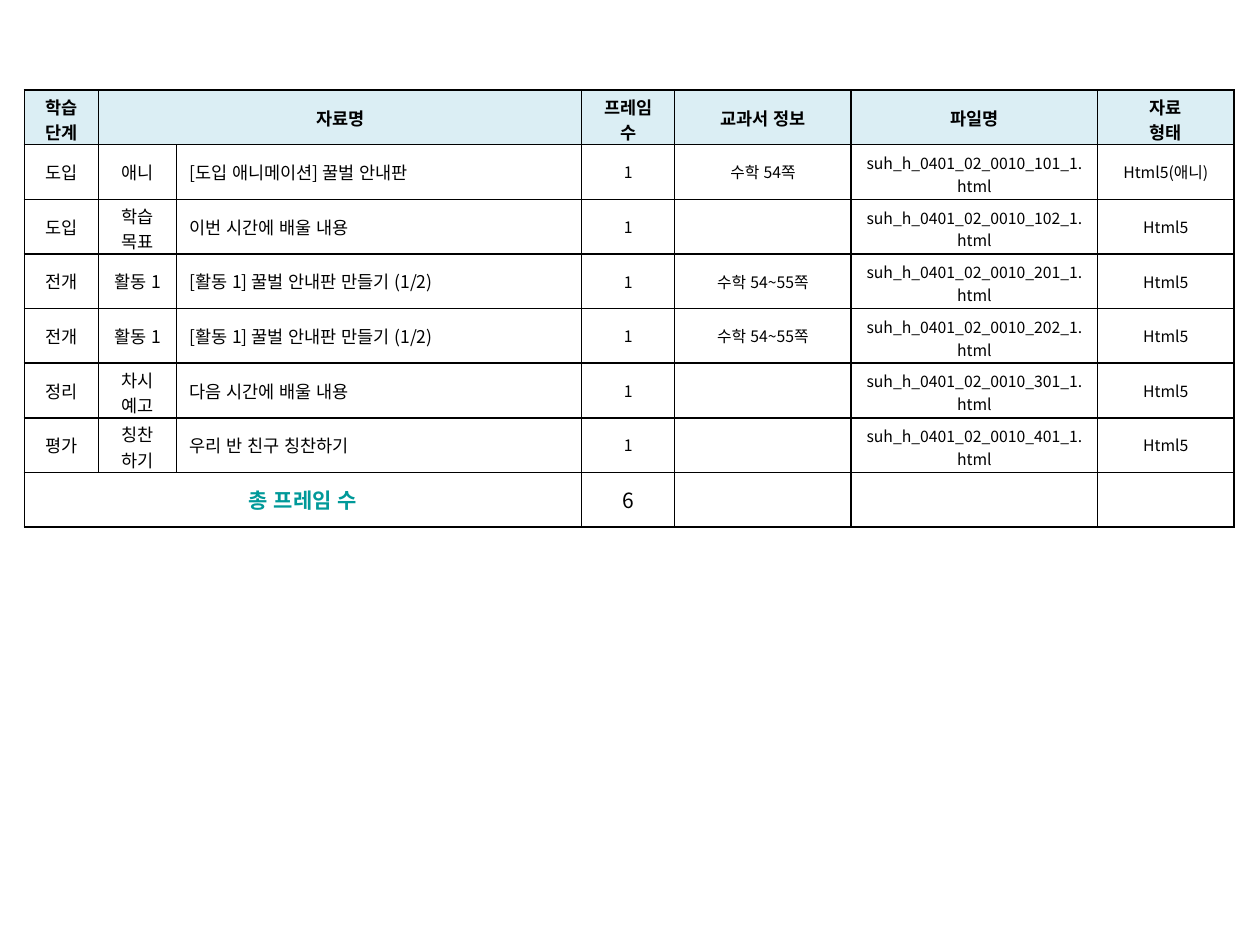
from pptx import Presentation
from pptx.dml.color import RGBColor as Color
from pptx.enum.lang import MSO_LANGUAGE_ID as Language
from pptx.enum.text import MSO_ANCHOR as Anchor, PP_ALIGN as Align
from pptx.oxml import parse_xml
from pptx.oxml.ns import nsdecls
from pptx.util import Pt

COLORS = {"ink": "000000", "header": "DBEEF4", "total": "009999"}
FONT = "Noto Sans CJK KR"
COLUMN_WIDTHS = [42.5, 44.6, 231.4, 53.2, 100.8, 140.9, 77.8]
ROW_HEIGHT = 31.22
HEADER = ["학습 단계", "자료명", "", "프레임 수", "교과서 정보", "파일명", "자료\n형태"]
# Stage, section, title, textbook page, file number, format
LESSONS = [
    ("도입", "애니", "[도입 애니메이션] 꿀벌 안내판", "수학 54쪽", 101, "Html5(애니)"),
    ("도입", "학습 목표", "이번 시간에 배울 내용", "", 102, "Html5"),
    ("전개", "활동 1", "[활동 1] 꿀벌 안내판 만들기 (1/2)", "수학 54~55쪽", 201, "Html5"),
    ("전개", "활동 1", "[활동 1] 꿀벌 안내판 만들기 (1/2)", "수학 54~55쪽", 202, "Html5"),
    ("정리", "차시 예고", "다음 시간에 배울 내용", "", 301, "Html5"),
    ("평가", "칭찬\n하기", "우리 반 친구 칭찬하기", "", 401, "Html5"),
]
TITLE_COLUMN = 2
FILE_COLUMN = 5
# Top and bottom margins that let two lines fit the row height
NORMAL = (3.6, 3.6)
FILE_NAME = (3.6, 1.4)
TWO_LINES = (2.1, 0)
TWO_LINE_LABELS = {"학습 단계", "프레임 수", "자료\n형태", "학습 목표", "차시 예고", "칭찬\n하기"}


class SlideBuilder:
    def __init__(self, slide):
        self.slide = slide

    def table(self, left, top, widths, row_height, row_count):
        frame = self.slide.shapes.add_table(
            row_count, len(widths), Pt(left), Pt(top),
            Pt(sum(widths)), Pt(row_height * row_count))
        table = frame.table
        table.first_row = table.horz_banding = False
        for column, width in zip(table.columns, widths):
            column.width = Pt(width)
        for row in table.rows:
            row.height = Pt(row_height)
            for cell in row.cells:
                self.borders(cell)
                cell.fill.background()
        return table

    def borders(self, cell):
        properties = cell._tc.get_or_add_tcPr()
        for index, side in enumerate(("lnL", "lnR", "lnT", "lnB")):
            properties.insert(index, parse_xml(
                f'<a:{side} {nsdecls("a")} w="{Pt(1)}"><a:solidFill>'
                f'<a:srgbClr val="{COLORS["ink"]}"/></a:solidFill></a:{side}>'))

    def cell(self, cell, text, size, bold=False, color="ink",
             align=Align.CENTER, fill=None, margins=NORMAL):
        cell.vertical_anchor = Anchor.MIDDLE
        if text in TWO_LINE_LABELS:
            margins = TWO_LINES
        cell.margin_top, cell.margin_bottom = map(Pt, margins)
        if fill:
            cell.fill.solid()
            cell.fill.fore_color.rgb = Color.from_string(COLORS[fill])
        frame = cell.text_frame
        for index, line in enumerate(text.split("\n")):
            para = frame.add_paragraph() if index else frame.paragraphs[0]
            para.alignment = align
            if line:
                self.span(para, line, size, bold, color)
            else:
                # Keeps an empty cell from stretching its row
                para._p.append(parse_xml(
                    f'<a:endParaRPr {nsdecls("a")} sz="{size * 100}"/>'))

    def span(self, para, text, size, bold, color):
        span = para.add_run()
        span.text = text
        font = span.font
        font.name, font.size, font.bold = FONT, Pt(size), bold
        font.language_id = Language.KOREAN
        font.color.rgb = Color.from_string(COLORS[color])
        font._element.find("{*}latin").addnext(
            parse_xml(f'<a:ea {nsdecls("a")} typeface="{FONT}"/>'))


def main():
    deck = Presentation()
    deck.slide_width, deck.slide_height = Pt(720), Pt(540)
    builder = SlideBuilder(deck.slides.add_slide(deck.slide_layouts[6]))
    total_row = len(LESSONS) + 1
    table = builder.table(13.9, 51.5, COLUMN_WIDTHS, ROW_HEIGHT, total_row + 1)
    table.cell(0, 1).merge(table.cell(0, 2))
    table.cell(total_row, 0).merge(table.cell(total_row, 2))

    for column, text in enumerate(HEADER):
        builder.cell(table.cell(0, column), text, 10, bold=True, fill="header")

    for row, (stage, section, title, book, number, form) in enumerate(LESSONS, 1):
        file_name = f"suh_h_0401_02_0010_{number}_1.html"
        texts = [stage, section, title, "1", book, file_name, form]
        for column, text in enumerate(texts):
            builder.cell(table.cell(row, column), text,
                         10 if column <= TITLE_COLUMN else 9,
                         align=Align.LEFT if column == TITLE_COLUMN else Align.CENTER,
                         margins=FILE_NAME if column == FILE_COLUMN else NORMAL)

    builder.cell(table.cell(total_row, 0), "총 프레임 수", 12, bold=True, color="total")
    for column, text in enumerate([str(len(LESSONS)), "", "", ""], 3):
        builder.cell(table.cell(total_row, column), text, 12)

    deck.save("out.pptx")


if __name__ == "__main__":
    main()
